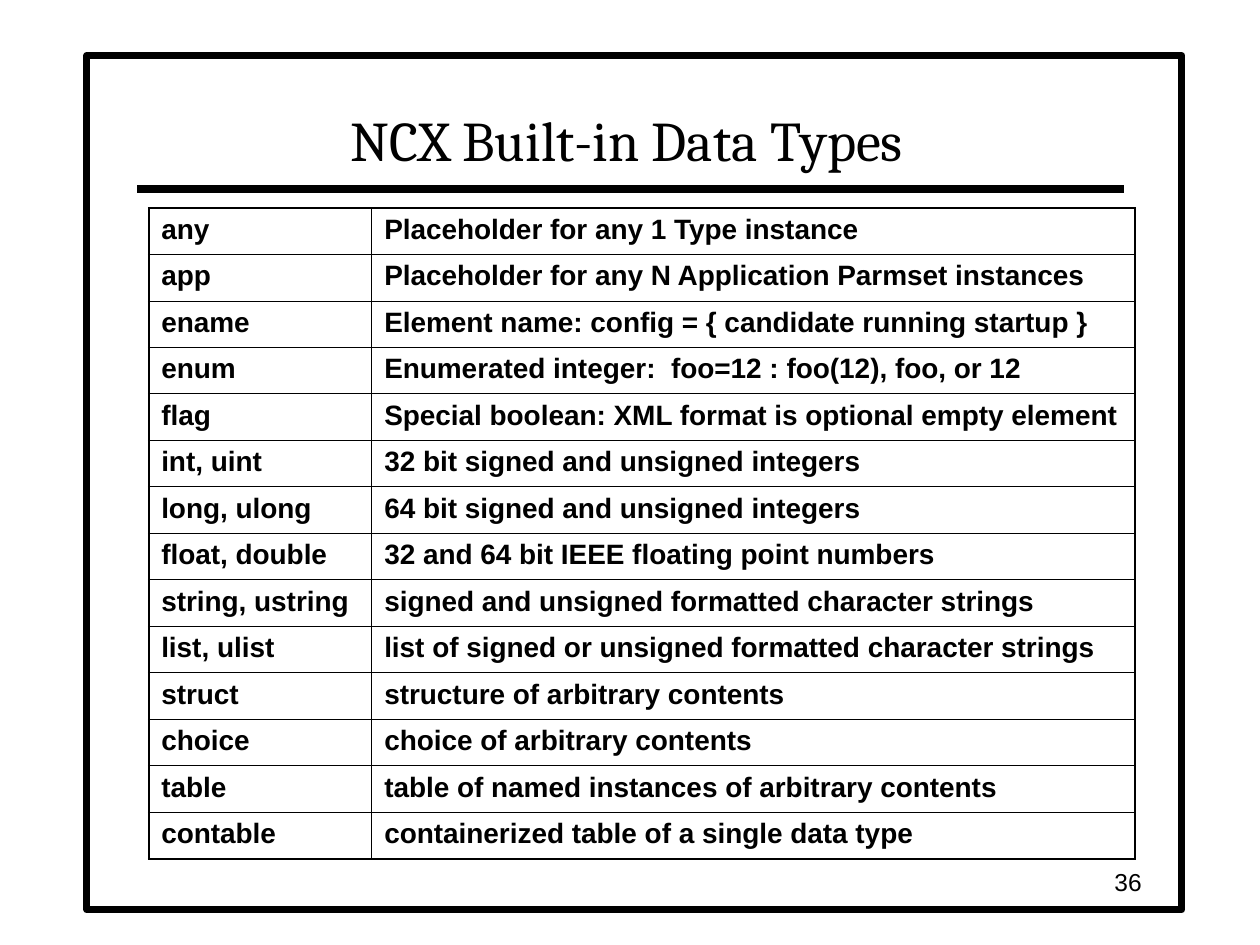
from dataclasses import dataclass

from lxml import etree
from pptx import Presentation
from pptx.dml.color import RGBColor
from pptx.enum.shapes import MSO_CONNECTOR, MSO_SHAPE
from pptx.enum.text import MSO_ANCHOR, PP_ALIGN
from pptx.oxml.ns import qn
from pptx.util import Inches, Pt

RECT = MSO_SHAPE.RECTANGLE
STRAIGHT = MSO_CONNECTOR.STRAIGHT
BOTTOM, MIDDLE = MSO_ANCHOR.BOTTOM, MSO_ANCHOR.MIDDLE
CENTER, RIGHT = PP_ALIGN.CENTER, PP_ALIGN.RIGHT


@dataclass(frozen=True)
class Theme:
    ink: RGBColor = RGBColor(0, 0, 0)
    paper: RGBColor = RGBColor(255, 255, 255)
    heading: str = "Cambria"
    body: str = "Arial"
    title_size: Pt = Pt(32)
    cell_size: Pt = Pt(16)
    number_size: Pt = Pt(14)
    frame: Pt = Pt(4)
    rule: Pt = Pt(4.5)
    outer: Pt = Pt(1.08)
    inner: Pt = Pt(0.45)


theme = Theme()

DATA_TYPES = [
    ("any", "Placeholder for any 1 Type instance"),
    ("app", "Placeholder for any N Application Parmset instances"),
    ("ename", "Element name: config = { candidate running startup }"),
    ("enum", "Enumerated integer:  foo=12 : foo(12), foo, or 12"),
    ("flag", "Special boolean: XML format is optional empty element"),
    ("int, uint", "32 bit signed and unsigned integers"),
    ("long, ulong", "64 bit signed and unsigned integers"),
    ("float, double", "32 and 64 bit IEEE floating point numbers"),
    ("string, ustring", "signed and unsigned formatted character strings"),
    ("list, ulist", "list of signed or unsigned formatted character strings"),
    ("struct", "structure of arbitrary contents"),
    ("choice", "choice of arbitrary contents"),
    ("table", "table of named instances of arbitrary contents"),
    ("contable", "containerized table of a single data type"),
]
COLUMN_WIDTHS = [1.77, 6.06]
TABLE_HEIGHT = 5.17


def write(tf, text, font, size, align=None, bold=False):
    p = tf.paragraphs[0]
    p.text = text
    p.alignment = align
    p.font.name = font
    p.font.size = size
    p.font.bold = bold
    p.font.color.rgb = theme.ink


def add_border(cell, side, width):
    tc_pr = cell._tc.get_or_add_tcPr()
    ln = etree.SubElement(tc_pr, qn(f"a:ln{side}"), w=str(int(width)))
    fill = etree.SubElement(ln, qn("a:solidFill"))
    etree.SubElement(fill, qn("a:srgbClr"), val=str(theme.ink))


prs = Presentation()
prs.slide_width, prs.slide_height = Inches(10), Inches(7.5)
s = prs.slides.add_slide(prs.slide_layouts[6])

frame = s.shapes.add_shape(RECT, Inches(0.69), Inches(0.44), Inches(8.69), Inches(6.78))
frame.shadow.inherit = False
frame.fill.solid()
frame.fill.fore_color.rgb = theme.paper
frame.line.color.rgb = theme.ink
frame.line.width = theme.frame

rule = s.shapes.add_connector(STRAIGHT, Inches(1.09), Inches(1.5), Inches(8.92), Inches(1.5))
rule.line.color.rgb = theme.ink
rule.line.width = theme.rule
etree.SubElement(rule._element.spPr, qn("a:effectLst"))

labels = [
    ("NCX Built-in Data Types", (1.08, 0.5, 7.79, 0.92), BOTTOM, CENTER, theme.heading, theme.title_size),
    ("36", (7.08, 6.83, 2.08, 0.33), MIDDLE, RIGHT, theme.body, theme.number_size),
]
for text, box, anchor, align, font, size in labels:
    tf = s.shapes.add_textbox(*map(Inches, box)).text_frame
    tf.word_wrap = True
    tf.vertical_anchor = anchor
    write(tf, text, font, size, align)

last_row, last_col = len(DATA_TYPES) - 1, len(COLUMN_WIDTHS) - 1
table = s.shapes.add_table(
    len(DATA_TYPES), len(COLUMN_WIDTHS),
    Inches(1.18), Inches(1.65), Inches(sum(COLUMN_WIDTHS)), Inches(TABLE_HEIGHT),
).table
table.first_row = False
table.horz_banding = False
for column, width in zip(table.columns, COLUMN_WIDTHS):
    column.width = Inches(width)

for i, row in enumerate(DATA_TYPES):
    for j, text in enumerate(row):
        cell = table.cell(i, j)
        write(cell.text_frame, text, theme.body, theme.cell_size, bold=True)
        edges = {"L": j == 0, "R": j == last_col, "T": i == 0, "B": i == last_row}
        for side, is_outer in edges.items():
            add_border(cell, side, theme.outer if is_outer else theme.inner)
        cell.fill.background()

prs.save("out.pptx")
